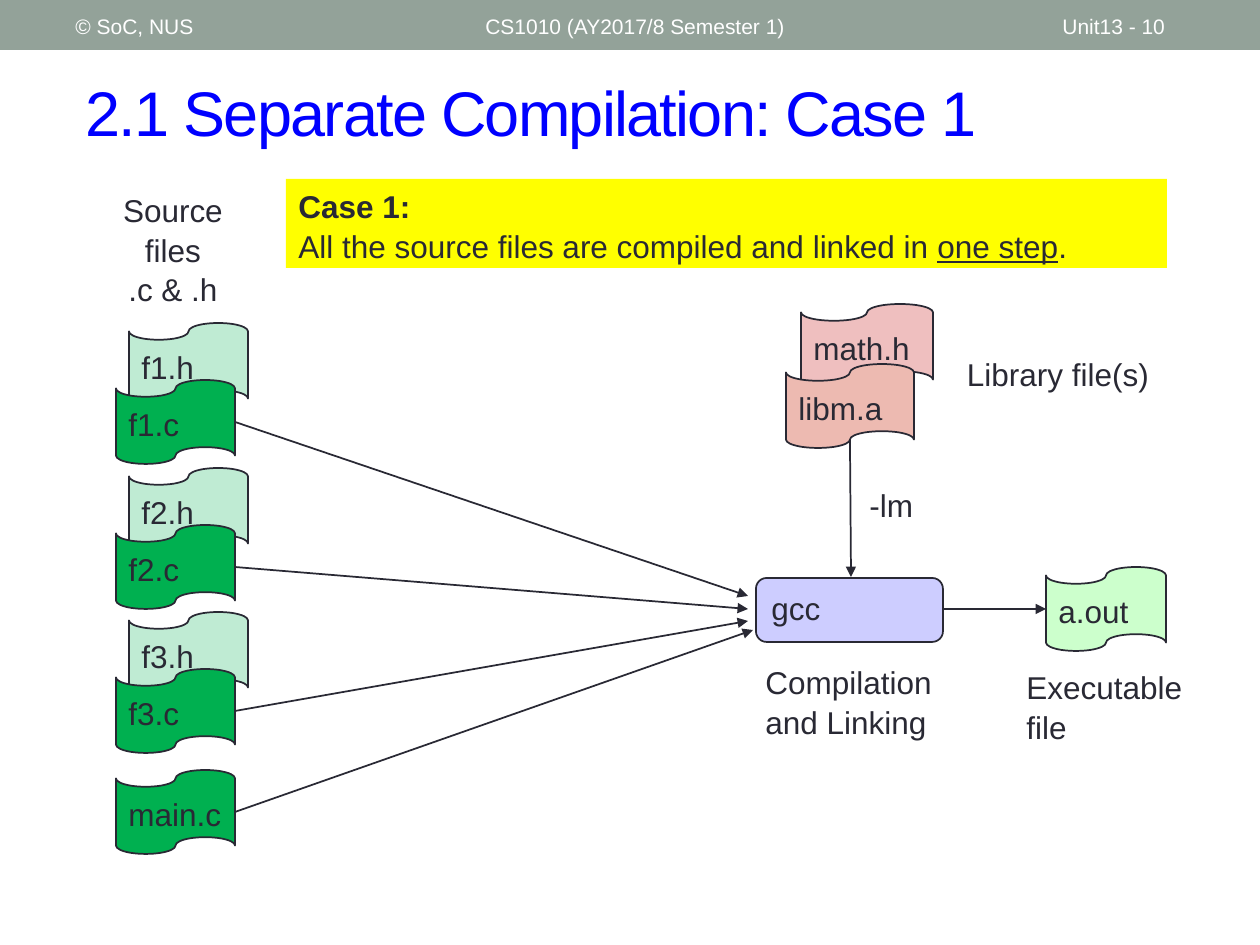
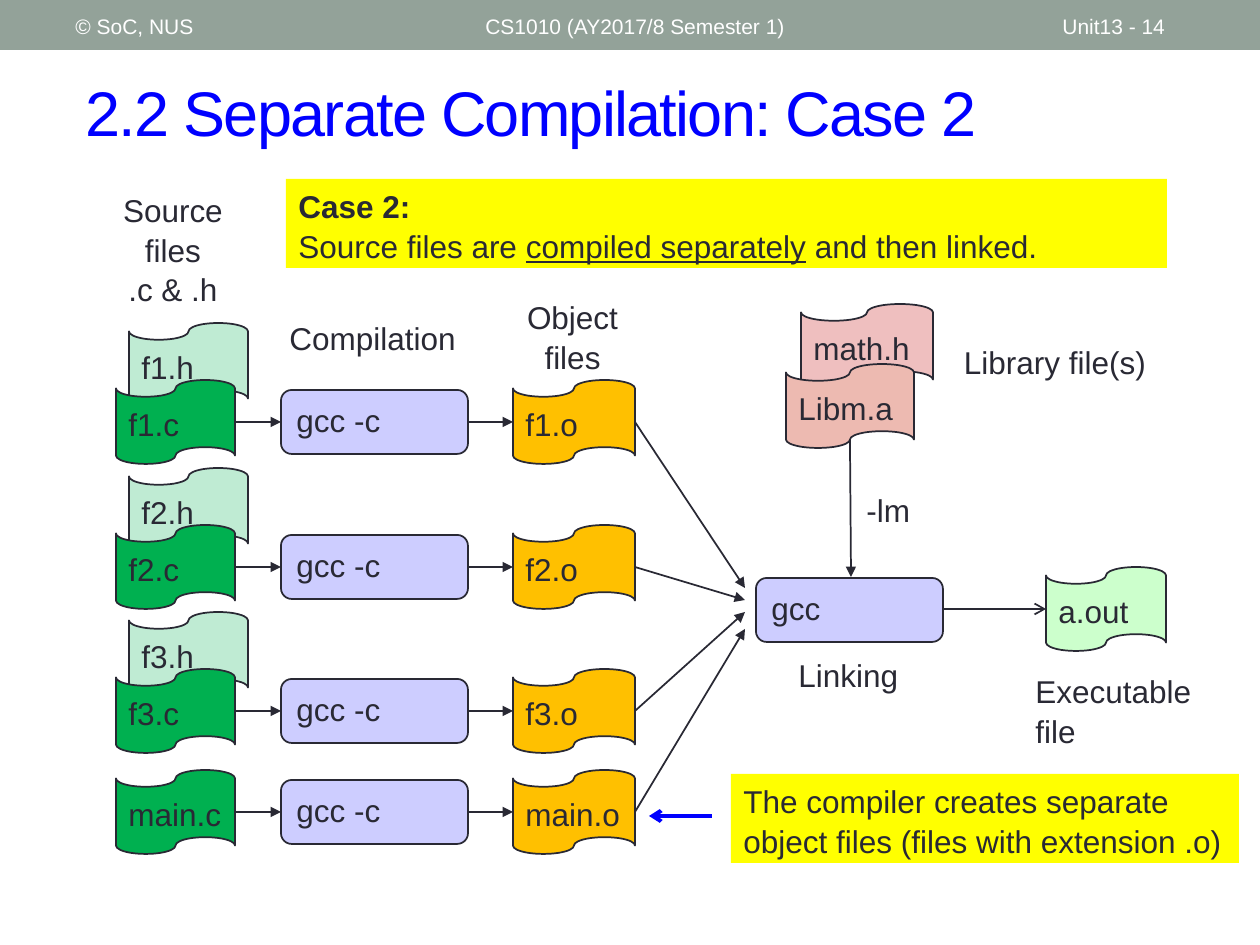
import pptx
import pptx.dml.color
import pptx.enum.shapes
import pptx.enum.text
import pptx.oxml
import pptx.oxml.ns
import pptx.util

SHAPES = pptx.enum.shapes.MSO_SHAPE
ALIGN = pptx.enum.text.PP_ALIGN
ANCHOR = pptx.enum.text.MSO_ANCHOR
EMU_PER_PX = 914400 / 126

FONT = "Arial"
INK = "292934"
WHITE = "FFFFFF"
BAND = "93A299"
BLUE = "0000FF"
YELLOW = "FFFF00"
GREEN = "00B050"
ORANGE = "FFC000"
LILAC = "CDCDFF"
MINT = "CCFFCC"
RED = "C00000"
SALMON = "EDBAB1"

TAPE_HEIGHT = 84
TAPE_WIDTH = 119
STEP_SIZE = (187, 64)
HEADER_SHIFT = (13, -57)
ROW_TOPS = (0, 145, 289, 390)
MODULES = ("f1", "f2", "f3", "main")
SOURCE_BOX = (116, 380, TAPE_WIDTH, 474)
COMPILE_BOX = (281, 380, 187, 474)
OBJECT_BOX = (513, 380, 122, 474)
LINK_BOX = (756, 304, 411, 445)


def px(length):
    return pptx.util.Emu(round(length * EMU_PER_PX))


def rgb(hex_colour):
    return pptx.dml.color.RGBColor.from_string(hex_colour)


def style(paragraph, size=18, colour=INK, align=ALIGN.LEFT, bold=False):
    paragraph.alignment = align
    paragraph.font.name = FONT
    paragraph.font.size = pptx.util.Pt(size)
    paragraph.font.bold = bold
    paragraph.font.color.rgb = rgb(colour)


def write(frame, paragraphs, **look):
    for index, text in enumerate(paragraphs):
        paragraph = frame.add_paragraph() if index else frame.paragraphs[0]
        paragraph.text = text
        paragraph.line_spacing = 1.05
        style(paragraph, **look)


def label(slide, box, *paragraphs, **look):
    frame = slide.shapes.add_textbox(*map(px, box)).text_frame
    frame.word_wrap = False
    write(frame, paragraphs, **look)
    return frame


def block(slide, kind, box, fill, paragraphs=(), outline=INK, opacity=None):
    shape = slide.shapes.add_shape(kind, *map(px, box))
    shape.shadow.inherit = False
    shape.fill.solid()
    shape.fill.fore_color.rgb = rgb(fill)
    if opacity:
        colour = shape._element.spPr.find(".//" + pptx.oxml.ns.qn("a:srgbClr"))
        alpha = pptx.oxml.parse_xml(
            f'<a:alpha {pptx.oxml.ns.nsdecls("a")} val="{opacity * 1000}"/>')
        colour.append(alpha)
    if outline:
        shape.line.color.rgb = rgb(outline)
        shape.line.width = pptx.util.Pt(1)
    else:
        shape.line.fill.background()
    shape.text_frame.vertical_anchor = ANCHOR.TOP
    write(shape.text_frame, paragraphs)
    return shape


def tape(slide, box, fill, name, opacity=None):
    file = block(slide, SHAPES.FLOWCHART_PUNCHED_TAPE, box, fill, [name],
                 opacity=opacity)
    file.text_frame.margin_right = 0


def step(slide, box, command):
    block(slide, SHAPES.ROUNDED_RECTANGLE, box, LILAC, [command])


def arrow(slide, start, end, head="triangle", colour=INK, width=1):
    line = slide.shapes.add_connector(
        pptx.enum.shapes.MSO_CONNECTOR.STRAIGHT, *map(px, (*start, *end)))
    line.line.color.rgb = rgb(colour)
    line.line.width = pptx.util.Pt(width)
    namespace = pptx.oxml.ns.nsdecls("a")
    line.line._get_or_add_ln().append(
        pptx.oxml.parse_xml(f'<a:tailEnd {namespace} type="{head}"/>'))
    line._element.spPr.append(
        pptx.oxml.parse_xml(f"<a:effectLst {namespace}/>"))


def row_centres(box):
    return [box[1] + top + TAPE_HEIGHT // 2 for top in ROW_TOPS]


def header(slide, box, page):
    left, top, width, height = box
    block(slide, SHAPES.RECTANGLE, box, BAND, outline=None)
    for offset, span, text in ((63, 399, "© SoC, NUS"),
                               (473, 567, "CS1010 (AY2017/8 Semester 1)"),
                               (1050, 147, f"Unit13 - {page}")):
        footer = label(slide, (left + offset, top + 3, span, height - 5),
                       text, size=12, colour=WHITE)
        footer.vertical_anchor = ANCHOR.MIDDLE


def title(slide, box, text):
    heading = slide.shapes.title
    heading.left, heading.top, heading.width, heading.height = map(px, box)
    heading.text_frame.vertical_anchor = ANCHOR.MIDDLE
    paragraph = heading.text_frame.paragraphs[0]
    run = paragraph.add_run()
    run.text = text
    run._r.get_or_add_rPr().set("spc", "-100")
    style(paragraph, size=36, colour=BLUE)


def case_summary(slide, box, case, before, stressed, after):
    summary = block(slide, SHAPES.RECTANGLE, box, YELLOW, [case, ""], None)
    case_line, sentence = summary.text_frame.paragraphs
    case_line.font.bold = True
    for text in (before, stressed, after):
        run = sentence.add_run()
        run.text = text
        run.font.underline = text == stressed


def source_files(slide, box):
    left, top, width, height = box
    shift_x, shift_y = HEADER_SHIFT
    label(slide, (left - 6, top - 197, 126, 127), "Source\nfiles\n.c & .h",
          align=ALIGN.CENTER)
    for module, row in zip(MODULES, ROW_TOPS):
        if module != "main":
            tape(slide, (left + shift_x, top + row + shift_y, width,
                         TAPE_HEIGHT), GREEN, f"{module}.h", opacity=25)
        tape(slide, (left, top + row, width, TAPE_HEIGHT), GREEN,
             f"{module}.c")


def compile_steps(slide, box):
    left, top, width, height = box
    label(slide, (left - 4, top - 69, 193, 50), "Compilation")
    for row, centre in zip(ROW_TOPS, row_centres(box)):
        step(slide, (left, top + row + 10, *STEP_SIZE), "gcc -c")
        arrow(slide, (SOURCE_BOX[0] + SOURCE_BOX[2], centre), (left, centre))
        arrow(slide, (left + width, centre), (OBJECT_BOX[0], centre))


def object_files(slide, box):
    left, top, width, height = box
    label(slide, (left + 1, top - 90, 117, 89), "Object\nfiles",
          align=ALIGN.CENTER)
    for module, row in zip(MODULES, ROW_TOPS):
        tape(slide, (left, top + row, width, TAPE_HEIGHT), ORANGE,
             f"{module}.o")


def feed_linker(slide, box, ends):
    for centre, end in zip(row_centres(box), ends):
        arrow(slide, (box[0] + box[2], centre), end)


def link_region(slide, box, archive, stage, stage_at, library_at, flag_at,
                program_at, program_head):
    left, top, width, height = box

    def note(offset, size, *paragraphs, **look):
        label(slide, (left + offset[0], top + offset[1], *size), *paragraphs,
              **look)

    tape(slide, (left + 45, top, 132, TAPE_HEIGHT), RED, "math.h", opacity=25)
    tape(slide, (left + 30, top + 60, 128, TAPE_HEIGHT), SALMON, archive)
    step(slide, (left, top + 274, *STEP_SIZE), "gcc")
    tape(slide, (left + 290, top + 263, 120, TAPE_HEIGHT), MINT, "a.out")
    arrow(slide, (left + 94, top + 136), (left + 95, top + 273))
    arrow(slide, (left + 187, top + 305), (left + 290, top + 305),
          program_head)
    note(library_at, (228, 50), "Library file(s)", align=ALIGN.CENTER)
    note(flag_at, (69, 50), "-lm")
    note(stage_at, (193 if len(stage) > 1 else 126, 50), *stage)
    note(program_at, (183, 89), "Executable\nfile")


def start_slide(deck, page, heading, summary):
    slide = deck.slides.add_slide(deck.slide_layouts[5])
    header(slide, (0, 0, 1260, 50), page)
    title(slide, (73, 53, 1155, 116), heading)
    case_summary(slide, (286, 179, 881, 89), *summary)
    source_files(slide, SOURCE_BOX)
    return slide


def one_step_slide(deck):
    slide = start_slide(
        deck, 10, "2.1 Separate Compilation: Case 1",
        ("Case 1:", "All the source files are compiled and linked in ",
         "one step", "."))
    link_region(slide, LINK_BOX, "libm.a", ("Compilation", "and Linking"),
                stage_at=(-3, 351), library_at=(188, 43), flag_at=(101, 174),
                program_at=(258, 356), program_head="triangle")
    feed_linker(slide, SOURCE_BOX,
                ((748, 596), (748, 609), (748, 621), (753, 630)))


def separate_slide(deck):
    slide = start_slide(
        deck, 14, "2.2 Separate Compilation: Case 2",
        ("Case 2:", "Source files are ", "compiled separately",
         " and then linked."))
    compile_steps(slide, COMPILE_BOX)
    object_files(slide, OBJECT_BOX)
    link_region(slide, LINK_BOX, "Libm.a", ("Linking",),
                stage_at=(30, 344), library_at=(185, 31), flag_at=(98, 179),
                program_at=(267, 360), program_head="arrow")
    feed_linker(slide, OBJECT_BOX,
                ((745, 588), (745, 600), (745, 612), (745, 629)))
    remark = block(slide, SHAPES.RECTANGLE, (731, 774, 508, 89), YELLOW,
                   ["The compiler creates separate",
                    "object files (files with extension .o)"], None)
    remark.text_frame.margin_right = 0
    arrow(slide, (712, 816), (649, 816), "arrow", BLUE, 2.25)


def main():
    deck = pptx.Presentation()
    deck.slide_width, deck.slide_height = px(1260), px(945)
    one_step_slide(deck)
    separate_slide(deck)
    deck.save("out.pptx")


if __name__ == "__main__":
    main()
